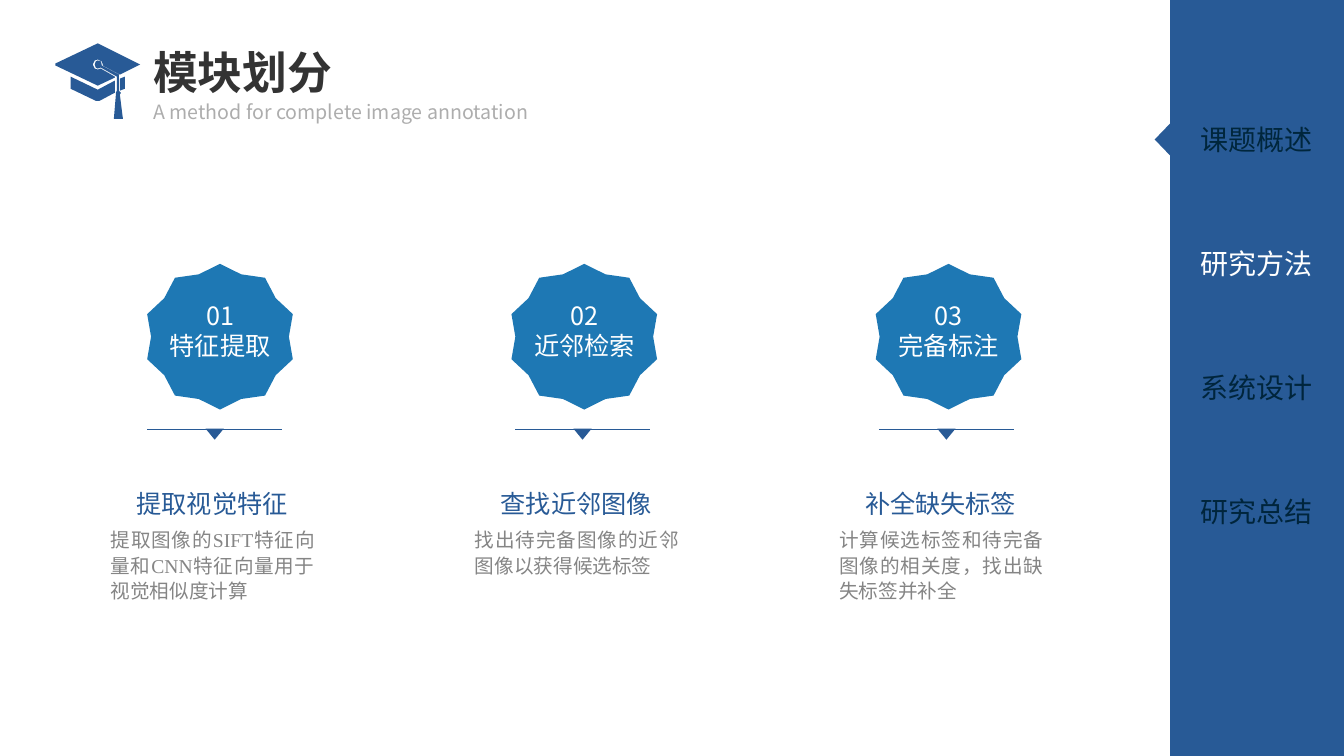
"""Build the module overview slide with three steps and a side menu."""
from lxml import etree
from pptx import Presentation
from pptx import util as u
from pptx.dml.color import RGBColor
from pptx.enum import shapes, text
from pptx.oxml.ns import qn

SANS, SERIF = "Noto Sans CJK SC", "Times New Roman"
NAVY, BLUE, WHITE, GREY = "285A96", "1E78B4", "FFFFFF", "858585"
TITLE = "模块划分"
SUBTITLE = "A method for complete image annotation"
MENU = [("课题概述", "00263C"), ("研究方法", WHITE), ("系统设计", "00253C"), ("研究总结", "00253C")]
STEPS = [
    {"number": "01", "name": "特征提取", "heading": "提取视觉特征", "line_left": 3.71,
     "body": [("提取图像的", SANS), ("SIFT", SERIF), ("特征向量和", SANS), ("CNN", SERIF),
              ("特征向量用于视觉相似度计算", SANS)]},
    {"number": "02", "name": "近邻检索", "heading": "查找近邻图像", "line_left": 12.98,
     "body": [("找出待完备图像的近邻图像以获得候选标签", SANS)]},
    {"number": "03", "name": "完备标注", "heading": "补全缺失标签", "line_left": 22.15,
     "body": [("计算候选标签和待完备图像的相关度，找出缺失标签并补全", SANS)]},
]
CAP_UNIT = 0.0254
CAP_OUTLINES = [
    [(119, 90), (124, 88), (124, 76), (119, 78)],
    [(70, 76), (70, 88), (95, 100), (99, 100), (114, 92), (114, 80), (97, 89)],
    [(118, 75), (118, 74), (101, 65), (101, 64), (100, 61), (97, 60), (95, 61), (94, 64),
     (95, 67), (97, 68), (100, 67), (116, 76)],
    [(139, 64), (97, 43), (55, 63), (55, 65), (97, 85), (114, 77), (114, 76), (100, 68),
     (97, 69), (94, 68), (92, 64), (94, 60), (97, 59), (101, 61), (102, 64), (102, 65),
     (119, 74)],
    [(118, 75), (118, 90), (120, 92), (119, 94), (122, 118), (113, 118), (115, 94),
     (115, 92), (116, 90), (116, 76)],
]
COLUMN_LEFT, COLUMN_STEP = 2.54, 9.18
MENU_TOP, MENU_STEP = 2.97, 3.12
LINE_TOP, LINE_WIDTH = 10.82, 3.4

presentation = Presentation()
presentation.slide_width, presentation.slide_height = u.Cm(33.87), u.Cm(19.05)
slide = presentation.slides.add_slide(presentation.slide_layouts[6])


def color(value):
    return RGBColor.from_string(value)


def paint(shape, fill):
    shape.shadow.inherit = False
    shape.fill.solid()
    shape.fill.fore_color.rgb = color(fill)
    shape.line.fill.background()


def add_block(kind, box, fill, rotation=0):
    shape = slide.shapes.add_shape(kind, *map(u.Cm, box))
    paint(shape, fill)
    shape.rotation = rotation
    return shape


def add_text(box, paragraphs, size, fill, align="LEFT", spacing=None, bold=False, anchor="TOP"):
    frame = slide.shapes.add_textbox(*map(u.Cm, box)).text_frame
    frame.word_wrap = True
    frame.vertical_anchor = text.MSO_ANCHOR[anchor]
    for index, runs in enumerate(paragraphs):
        paragraph = frame.add_paragraph() if index else frame.paragraphs[0]
        paragraph.alignment = text.PP_ALIGN[align]
        paragraph.line_spacing = spacing
        for words, font_name in runs:
            run = paragraph.add_run()
            run.text = words
            run.font.name, run.font.size, run.font.bold = font_name, u.Pt(size), bold
            run.font.color.rgb = color(fill)
            etree.SubElement(run.font._element, qn("a:ea"), typeface=SANS)


def add_cap():
    builder = slide.shapes.build_freeform(*CAP_OUTLINES[0][0], scale=u.Cm(CAP_UNIT))
    for index, outline in enumerate(CAP_OUTLINES):
        if index:
            builder.move_to(*outline[0])
        builder.add_line_segments(outline[1:], close=True)
    paint(builder.convert_to_shape(), NAVY)


def add_menu():
    add_block(shapes.MSO_SHAPE.RECTANGLE, (29.49, 0, 4.38, 19.05), NAVY)
    add_block(shapes.MSO_SHAPE.ISOSCELES_TRIANGLE, (28.89, 3.32, 0.81, 0.39), NAVY, 270)
    for index, (label, fill) in enumerate(MENU):
        top = MENU_TOP + index * MENU_STEP
        add_text((29.74, top, 3.86, 1.11), [[(label, SANS)]], 20, fill, "CENTER")


def add_step(left, step):
    star = add_block(shapes.MSO_SHAPE.STAR_10_POINT, (left + 1.17, 6.65, 3.67, 3.67), BLUE)
    star.adjustments[0] = 0.45
    caption = [[(step["number"], SANS)], [(step["name"], SANS)]]
    add_text((left + 1.19, 7.44, 3.64, 1.8), caption, 18, WHITE, "CENTER")
    add_text((left + 0.57, 12.17, 4.47, 1.02), [[(step["heading"], SANS)]], 18, NAVY, "CENTER")
    add_text((left, 13.11, 5.64, 2.18), [step["body"]], 14, GREY, "JUSTIFY", 1.1)
    start, end = step["line_left"], step["line_left"] + LINE_WIDTH
    rule = slide.shapes.add_connector(
        shapes.MSO_CONNECTOR.STRAIGHT, *map(u.Cm, (start, LINE_TOP, end, LINE_TOP)))
    rule.line.color.rgb = color(NAVY)
    rule.line.width = u.Pt(0.5)
    etree.SubElement(rule._element.spPr, qn("a:effectLst"))
    marker = ((start + end) / 2 - 0.23, LINE_TOP - 0.02, 0.46, 0.28)
    add_block(shapes.MSO_SHAPE.ISOSCELES_TRIANGLE, marker, NAVY, 180)


add_cap()
add_text((3.61, 2.39, 10.67, 0.86), [[(SUBTITLE, SANS)]], 14, "ADADAD")
add_menu()
add_text((3.61, 0.94, 14.6, 1.9), [[(TITLE, SANS)]], 32, "333333", spacing=0.9, bold=True,
         anchor="MIDDLE")
for position, step in enumerate(STEPS):
    add_step(COLUMN_LEFT + position * COLUMN_STEP, step)

presentation.save("out.pptx")
